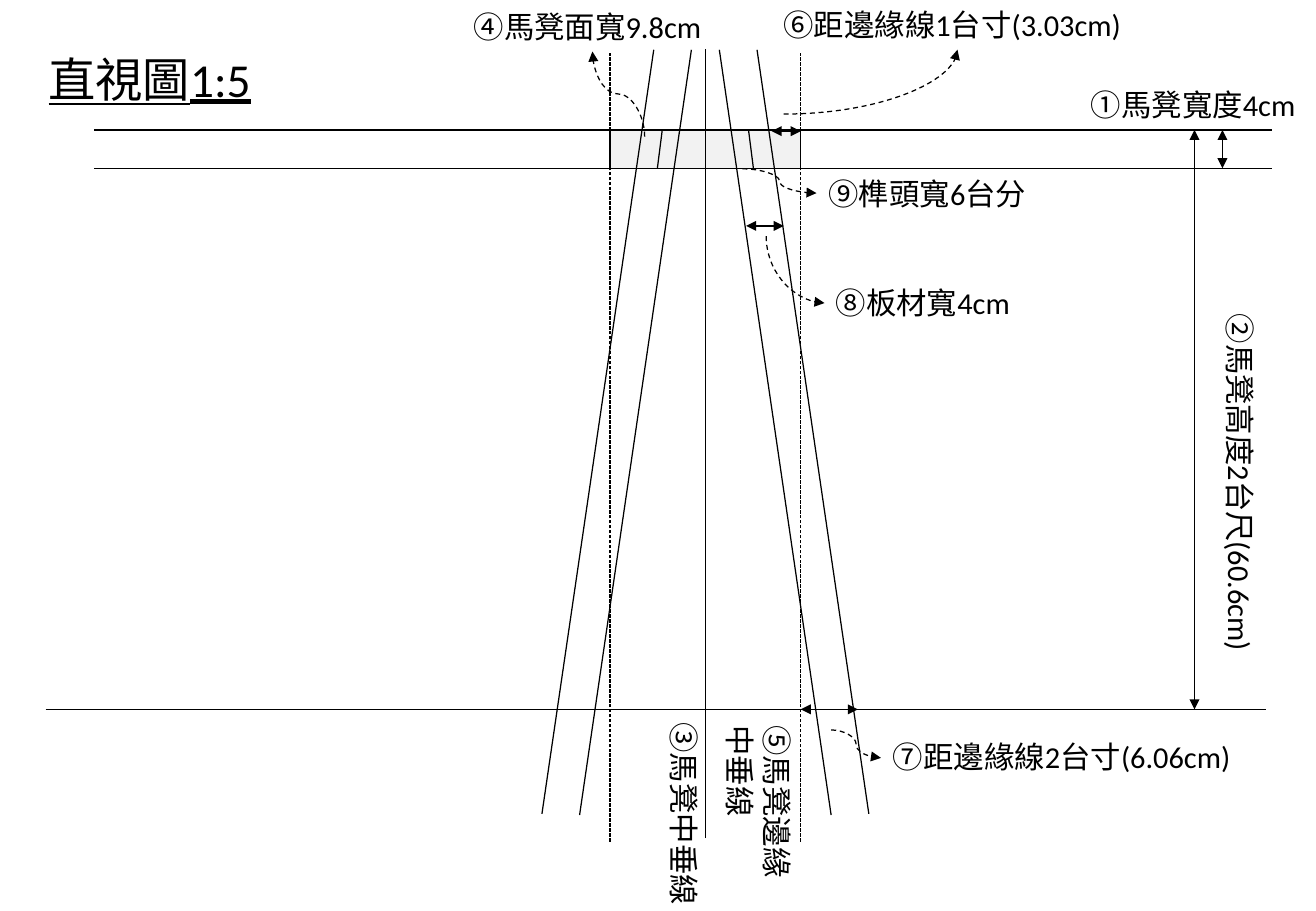
from dataclasses import dataclass

from lxml.etree import SubElement
from pptx import Presentation
from pptx.dml.color import RGBColor
from pptx.enum.dml import MSO_LINE
from pptx.enum.shapes import MSO_CONNECTOR, MSO_SHAPE
from pptx.enum.text import MSO_ANCHOR, MSO_AUTO_SIZE, PP_ALIGN
from pptx.oxml.ns import qn
from pptx.util import Inches, Pt

CELL = 0.1  # grid cell in inches; every length below is in cells


@dataclass(frozen=True)
class Theme:
    ink: RGBColor = RGBColor(0, 0, 0)
    board: RGBColor = RGBColor(0xF2, 0xF2, 0xF2)
    font: str = "Calibri"
    title: Pt = Pt(28)
    label: Pt = Pt(18)
    stroke: Pt = Pt(0.75)


@dataclass(frozen=True)
class Box:
    left: float
    top: float

    def x(self, cells):
        return Inches((self.left + cells) * CELL)

    def y(self, cells):
        return Inches((self.top + cells) * CELL)


THEME = Theme()
BOARD_DEPTH, HEIGHT, HALF_WIDTH = 3.15, 47.7, 7.85


def size(cells):
    return Inches(cells * CELL)


def draw_line(slide, box, start, end, dash=None, heads=(), kind=MSO_CONNECTOR.STRAIGHT):
    line = slide.shapes.add_connector(
        kind, box.x(start[0]), box.y(start[1]), box.x(end[0]), box.y(end[1]))
    line.line.color.rgb = THEME.ink
    line.line.width = THEME.stroke
    if dash:
        line.line.dash_style = dash
    properties = line._element.spPr
    outline = properties.find(qn("a:ln"))
    for head in heads:
        SubElement(outline, qn(f"a:{head}"), type="triangle")
    SubElement(properties, qn("a:effectLst"))
    return line


def draw_measure(slide, box, start, end):
    draw_line(slide, box, start, end, heads=("headEnd", "tailEnd"))


def draw_leader(slide, box, start, end, preset, turn=0):
    leader = draw_line(slide, box, start, end, MSO_LINE.DASH, ("tailEnd",), MSO_CONNECTOR.CURVE)
    properties = leader._element.spPr
    properties.find(qn("a:prstGeom")).set("prst", preset)
    if turn:
        properties.find(qn("a:xfrm")).set("rot", str(turn * 60000))


def write(frame, lines, font_size, underline=None):
    frame.word_wrap = True
    frame.auto_size = MSO_AUTO_SIZE.SHAPE_TO_FIT_TEXT
    frame.vertical_anchor = MSO_ANCHOR.TOP
    frame.text = "\n".join(lines)
    for paragraph in frame.paragraphs:
        paragraph.alignment = PP_ALIGN.LEFT
        paragraph.font.name = THEME.font
        paragraph.font.size = font_size
        paragraph.font.color.rgb = THEME.ink
        paragraph.font.underline = underline


def add_title(slide, box):
    title = slide.shapes.title
    title.left, title.top = box.x(0), box.y(0)
    title.width, title.height = size(18.8), size(5.7)
    write(title.text_frame, ["直視圖1:5"], THEME.title, True)


def add_bench(slide, box):
    """Origin: where the centre line meets the top of the bench."""
    # Seat board halves
    for left in (-HALF_WIDTH, 0):
        board = slide.shapes.add_shape(
            MSO_SHAPE.RECTANGLE, box.x(left), box.y(0), size(HALF_WIDTH), size(BOARD_DEPTH))
        board.shadow.inherit = False
        board.fill.solid()
        board.fill.fore_color.rgb = THEME.board
        board.line.color.rgb = THEME.ink
        board.line.width = THEME.stroke
    # Board and ground levels
    for start, end, level in ((-50.3, 46.6, 0), (-50.3, 46.6, BOARD_DEPTH), (-54.3, 46.1, HEIGHT)):
        draw_line(slide, box, (start, level), (end, level))
    # Centre line
    draw_line(slide, box, (0, 58.3), (0, -6.7))
    # Edge lines, legs and tenons, mirrored about the centre line
    for side in (-1, 1):
        edge = side * HALF_WIDTH
        draw_line(slide, box, (edge, 58.6), (edge, -6.3), MSO_LINE.SQUARE_DOT)
        for foot, head, bottom, top in ((13.45, 4.25, 56.3, -6.6), (10.35, 1.15, 56.4, -6.6),
                                        (3.95, 3.55, BOARD_DEPTH, 0)):
            draw_line(slide, box, (side * foot, bottom), (side * head, top))


def add_measures(slide, box):
    """Same origin as the bench."""
    for start, end in (
        ((42.55, BOARD_DEPTH), (42.55, 0)),
        ((40.25, HEIGHT), (40.25, 0)),
        ((5.45, 0.1), (HALF_WIDTH, 0.1)),
        ((HALF_WIDTH, HEIGHT), (12.55, HEIGHT)),
        ((3.35, 7.9), (6.45, 7.9)),
    ):
        draw_measure(slide, box, start, end)


def add_labels(slide, box):
    # Text: left, top, width, height, rotation, lines
    for left, top, width, height, turn, lines in (
        (88.8, 6.6, 19, 4, 0, ["①馬凳寬度4cm"]),
        (87, 37.9, 30.1, 4, 90, ["②馬凳高度2台尺(60.6cm)"]),
        (47.7, 65.1, 17.2, 4, 90, ["③馬凳中垂線"]),
        (38, 0.2, 21.5, 4, 0, ["④馬凳面寬9.8cm"]),
        (55.1, 62.5, 14.6, 7.1, 90, ["⑤馬凳邊緣", "中垂線"]),
        (63.5, 0, 30.6, 4, 0, ["⑥距邊緣線1台寸(3.03cm)"]),
        (72.5, 60.3, 30.1, 4, 0, ["⑦距邊緣線2台寸(6.06cm)"]),
        (67.8, 22.9, 16.5, 4, 0, ["⑧板材寬4cm"]),
        (67.2, 13.9, 18.3, 4, 0, ["⑨榫頭寬6台分"]),
    ):
        label = slide.shapes.add_textbox(box.x(left), box.y(top), size(width), size(height))
        label.rotation = turn
        write(label.text_frame, lines, THEME.label)
    # Dashed leaders, given by their frame before rotation
    for start, end, preset, turn in (
        ((47.4, 12.6 - 2.7), (54.4, 5.6), "curvedConnector3", 270),
        ((64.5, 9.4), (78.8, 4.1), "curvedConnector2", 0),
        ((68.4, 60.1), (72.5, 62.4), "curvedConnector3", 0),
        ((68.2, 19.8), (62.7, 24.6), "curvedConnector2", 270),
        ((61.1, 13.9), (67.2, 15.9), "curvedConnector3", 0),
    ):
        draw_leader(slide, box, start, end, preset, turn)


def main():
    presentation = Presentation()
    presentation.slide_width, presentation.slide_height = Inches(10.83), Inches(7.5)
    slide = presentation.slides.add_slide(presentation.slide_layouts[5])
    bench = Box(58.05, 10.7)
    add_bench(slide, bench)
    add_measures(slide, bench)
    add_title(slide, Box(3, 3.6))
    add_labels(slide, Box(0, 0))
    presentation.save("out.pptx")


if __name__ == "__main__":
    main()
